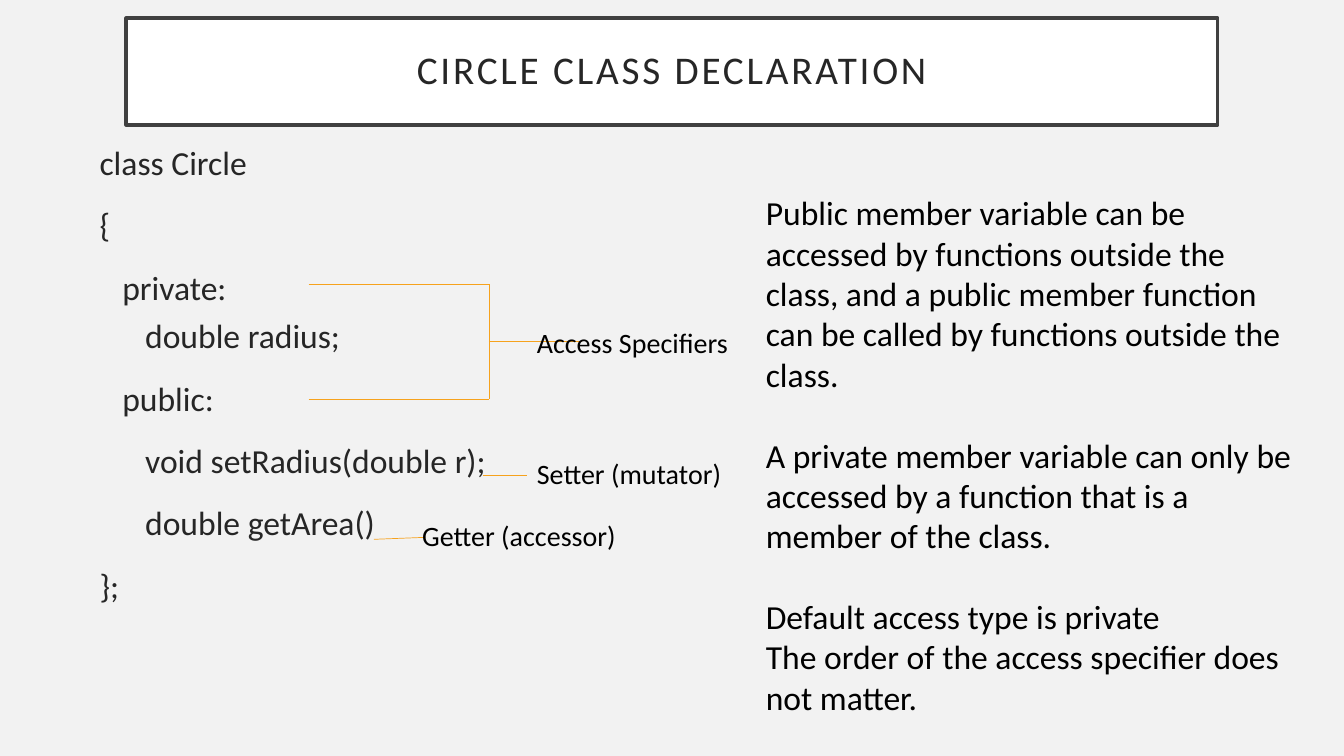
from lxml import etree
from pptx import Presentation
from pptx.dml.color import RGBColor
from pptx.enum.shapes import MSO_CONNECTOR, MSO_SHAPE
from pptx.enum.text import MSO_ANCHOR, PP_ALIGN
from pptx.oxml.ns import qn
from pptx.util import Cm, Pt

RECTANGLE = MSO_SHAPE.RECTANGLE
STRAIGHT = MSO_CONNECTOR.STRAIGHT
MIDDLE = MSO_ANCHOR.MIDDLE
TOP = MSO_ANCHOR.TOP
CENTER = PP_ALIGN.CENTER

FONT = "Calibri"
BACKGROUND, WHITE, BLACK = "F2F2F2", "FFFFFF", "000000"
DARK, FRAME, ORANGE = "262626", "404040", "F6A21D"

# \v marks a line break inside a paragraph
CODE = [
    "class Circle",
    "{",
    "   private:\v      double radius;",
    "   public:",
    "      void setRadius(double r);",
    "      double getArea()",
    "};",
]
# Each rule with its space before, in points
ACCESS_RULES = [
    ("Public member variable can be accessed by functions outside the class, "
     "and a public member function can be called by functions outside the class.", 0),
    ("A private member variable can only be accessed by a function that is a "
     "member of the class.", 29),
    ("Default access type is private", 29),
    ("The order of the access specifier does not matter.", 0),
]


def color(hex_string):
    return RGBColor.from_string(hex_string)


def style_runs(paragraph, size, hex_color):
    for run in paragraph.runs:
        run.font.name = FONT
        run.font.size = Pt(size)
        run.font.color.rgb = color(hex_color)


def add_text(slide, box, paragraphs, size, hex_color, line_spacing=1.0):
    """Place (text, space before) paragraphs in a box given in cm."""
    frame = slide.shapes.add_textbox(*map(Cm, box)).text_frame
    frame.word_wrap = True
    frame.vertical_anchor = TOP
    for index, (text, space_before) in enumerate(paragraphs):
        paragraph = frame.add_paragraph() if index else frame.paragraphs[0]
        paragraph.text = text
        paragraph.line_spacing = line_spacing
        paragraph.space_before = Pt(space_before)
        style_runs(paragraph, size, hex_color)


def add_line(slide, *ends):
    connector = slide.shapes.add_connector(STRAIGHT, *map(Cm, ends))
    connector.line.color.rgb = color(ORANGE)
    connector.line.width = Pt(0.5)
    etree.SubElement(connector._element.spPr, qn("a:effectLst"))


def add_title(slide, box, text):
    banner = slide.shapes.add_shape(RECTANGLE, *map(Cm, box))
    banner.shadow.inherit = False
    banner.fill.solid()
    banner.fill.fore_color.rgb = color(WHITE)
    banner.line.color.rgb = color(FRAME)
    banner.line.width = Pt(2.5)
    frame = banner.text_frame
    frame.word_wrap = True
    frame.vertical_anchor = MIDDLE
    frame.margin_left = frame.margin_right = Cm(0.5)
    frame.margin_top = frame.margin_bottom = Cm(0.5)
    heading = frame.paragraphs[0]
    heading.text = text
    heading.alignment = CENTER
    heading.line_spacing = 0.9
    style_runs(heading, 28, DARK)
    heading.runs[0].font._element.set("spc", "200")


def add_code(slide, box):
    lines = [(line, 10 if index else 0) for index, line in enumerate(CODE)]
    add_text(slide, box, lines, 24, DARK, line_spacing=1.2)


def add_specifier_bracket(slide, box):
    """Join the two specifiers at the left and lead on to their label."""
    left, top, width, height = box
    right, bottom, middle = left + width, top + height, top + height / 2
    add_line(slide, left, top, right, top)
    add_line(slide, left, bottom, right, bottom)
    add_line(slide, right, top, right, bottom)
    add_line(slide, right, middle, right + 2.34, middle)


def add_label(slide, box, text):
    add_text(slide, box, [(text, 0)], 20, BLACK)


def add_callouts(slide, left, top):
    """Annotate the code whose box has this top left corner."""
    add_specifier_bracket(slide, (left + 5.52, top + 3.91, 4.54, 2.9))
    add_line(slide, left + 9.91, top + 8.74, left + 11.02, top + 8.74)
    add_line(slide, left + 7.16, top + 10.34, left + 8.46, top + 10.29)
    add_label(slide, (left + 11.02, top + 4.83, 6.32, 1.12), "Access Specifiers")
    add_label(slide, (left + 11.02, top + 8.13, 5.36, 1.12), "Setter (mutator)")
    add_label(slide, (left + 8.13, top + 9.7, 6.43, 1.12), "Getter (accessor)")


def main():
    presentation = Presentation()
    presentation.slide_width = Cm(33.87)
    presentation.slide_height = Cm(19.05)
    slide = presentation.slides.add_slide(presentation.slide_layouts[6])
    slide.background.fill.solid()
    slide.background.fill.fore_color.rgb = color(BACKGROUND)

    add_title(slide, (3.18, 0.46, 27.51, 2.69), "CIRCLE CLASS DECLARATION")
    add_code(slide, (2.26, 3.25, 19.81, 14.71))
    add_callouts(slide, 2.26, 3.25)
    add_text(slide, (19.05, 4.72, 14.02, 12.57), ACCESS_RULES, 24, BLACK)
    presentation.save("out.pptx")


if __name__ == "__main__":
    main()
